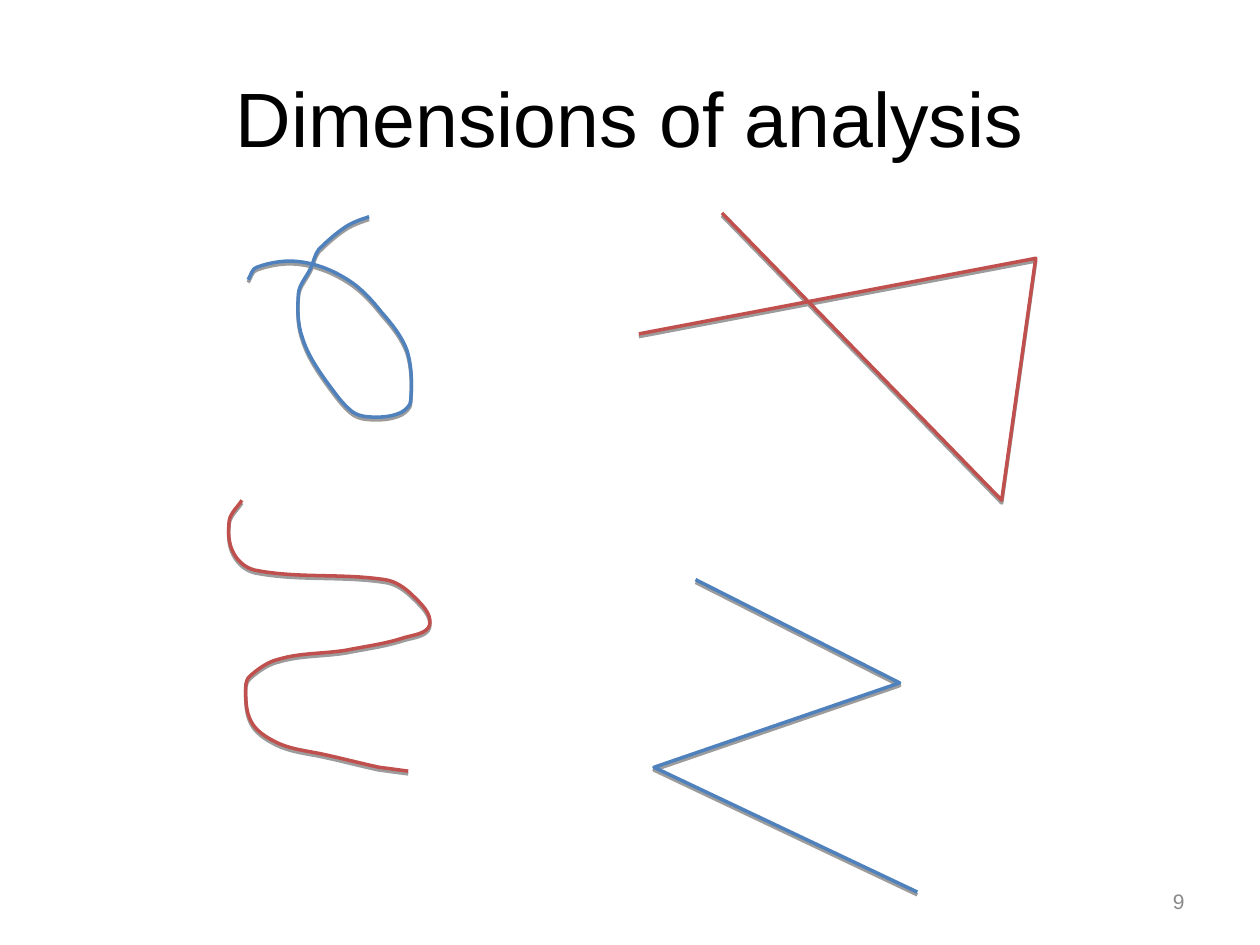
import dataclasses
import math

import lxml.etree
import pptx
import pptx.dml.color
import pptx.enum.text
import pptx.oxml
import pptx.oxml.ns
import pptx.util

COLOURS = {"blue": "4F81BD", "red": "C0504D", "title": "000000", "number": "898989", "shadow": "000000"}
FONT = "Arial"
GRID_UNIT = pptx.util.Cm(2.54) / 100
Point = tuple[float, float]


@dataclasses.dataclass(frozen=True)
class Label:
    text: str
    left: float
    top: float
    width: float
    height: float
    size: int
    colour: str
    alignment: pptx.enum.text.PP_ALIGN


@dataclasses.dataclass(frozen=True)
class Stroke:
    colour: str
    anchors: list[Point]
    curved: bool


LABELS = [
    Label("Dimensions of analysis", 1.27, 0.76, 22.86, 3.18, 44, "title", pptx.enum.text.PP_ALIGN.CENTER),
    Label("9", 18.21, 17.65, 5.92, 1.02, 12, "number", pptx.enum.text.PP_ALIGN.RIGHT),
]

LOOP_PARTS = {
    "tail": [(293, 172), (276, 179), (253, 198), (247, 212)],
    "left side": [(237, 232), (240, 268), (260, 304)],
    "base": [(280, 327), (300, 331), (319, 327), (326, 318)],
    "right side": [(323, 278), (303, 248), (276, 222)],
    "hook": [(240, 208), (204, 212), (197, 222)],
}
WAVE_PARTS = {
    "upper left bend": [(192, 397), (182, 413), (186, 440), (205, 453)],
    "right bend": [(305, 460), (328, 473), (341, 496), (321, 506)],
    "lower left bend": [(275, 516), (222, 523), (199, 536), (195, 546), (199, 572)],
    "tail": [(219, 589), (258, 599), (301, 609), (324, 612)],
}
CROSSING = [(507, 265), (822, 205), (795, 397), (573, 169)]
ZIGZAG = [(552, 460), (714, 542), (519, 609), (728, 708)]


def join_parts(parts: dict[str, list[Point]]) -> list[Point]:
    return [anchor for part in parts.values() for anchor in part]


STROKES = [
    Stroke("blue", join_parts(LOOP_PARTS), True),
    Stroke("red", CROSSING, False),
    Stroke("red", join_parts(WAVE_PARTS), True),
    Stroke("blue", ZIGZAG, False),
]


def rgb(name: str) -> pptx.dml.color.RGBColor:
    return pptx.dml.color.RGBColor.from_string(COLOURS[name])


def add_label(slide, label: Label) -> None:
    box = slide.shapes.add_textbox(
        *(pptx.util.Cm(length) for length in (label.left, label.top, label.width, label.height))
    )
    frame = box.text_frame
    frame.word_wrap = True
    frame.vertical_anchor = pptx.enum.text.MSO_ANCHOR.MIDDLE
    paragraph = frame.paragraphs[0]
    paragraph.alignment = label.alignment
    run = paragraph.add_run()
    run.text = label.text
    run.font.name = FONT
    run.font.size = pptx.util.Pt(label.size)
    run.font.color.rgb = rgb(label.colour)


def tangent_angles(anchors: list[Point]) -> list[float]:
    before = anchors[:1] + anchors[:-1]
    after = anchors[1:] + anchors[-1:]
    return [math.atan2(y2 - y1, x2 - x1) for (x1, y1), (x2, y2) in zip(before, after)]


def move(point: Point, angle: float, distance: float) -> Point:
    return point[0] + distance * math.cos(angle), point[1] + distance * math.sin(angle)


def smooth_points(anchors: list[Point]) -> list[Point]:
    angles = tangent_angles(anchors)
    points = anchors[:1]
    for index, (start, end) in enumerate(zip(anchors, anchors[1:])):
        handle = math.dist(start, end) / 3
        points += [move(start, angles[index], handle), move(end, angles[index + 1], -handle), end]
    return points


def bend_segments(shape) -> None:
    qualified = pptx.oxml.ns.qn
    outline = next(shape._element.iter(qualified("a:path")))
    segments = outline.findall(qualified("a:lnTo"))
    for first in range(0, len(segments), 3):
        curve = lxml.etree.SubElement(outline, qualified("a:cubicBezTo"))
        for segment in segments[first:first + 3]:
            curve.append(segment[0])
            outline.remove(segment)


def add_shadow(shape) -> None:
    shape.shadow.inherit = False
    effects = shape._element.spPr.find(pptx.oxml.ns.qn("a:effectLst"))
    effects.append(pptx.oxml.parse_xml(
        f'<a:outerShdw {pptx.oxml.ns.nsdecls("a")} blurRad="0" dist="{pptx.util.Pt(1.6)}" '
        f'dir="5400000" rotWithShape="0"><a:srgbClr val="{COLOURS["shadow"]}">'
        '<a:alpha val="38000"/></a:srgbClr></a:outerShdw>'
    ))


def add_stroke(slide, stroke: Stroke) -> None:
    start, *rest = smooth_points(stroke.anchors) if stroke.curved else stroke.anchors
    builder = slide.shapes.build_freeform(*start, scale=GRID_UNIT)
    builder.add_line_segments(rest, close=False)
    shape = builder.convert_to_shape()
    if stroke.curved:
        bend_segments(shape)
    shape.fill.background()
    shape.line.color.rgb = rgb(stroke.colour)
    shape.line.width = pptx.util.Pt(2)
    add_shadow(shape)


def main() -> None:
    presentation = pptx.Presentation()
    presentation.slide_width = pptx.util.Cm(25.4)
    presentation.slide_height = pptx.util.Cm(19.05)
    slide = presentation.slides.add_slide(presentation.slide_layouts[6])
    for label in LABELS:
        add_label(slide, label)
    for stroke in STROKES:
        add_stroke(slide, stroke)
    presentation.save("out.pptx")


if __name__ == "__main__":
    main()
